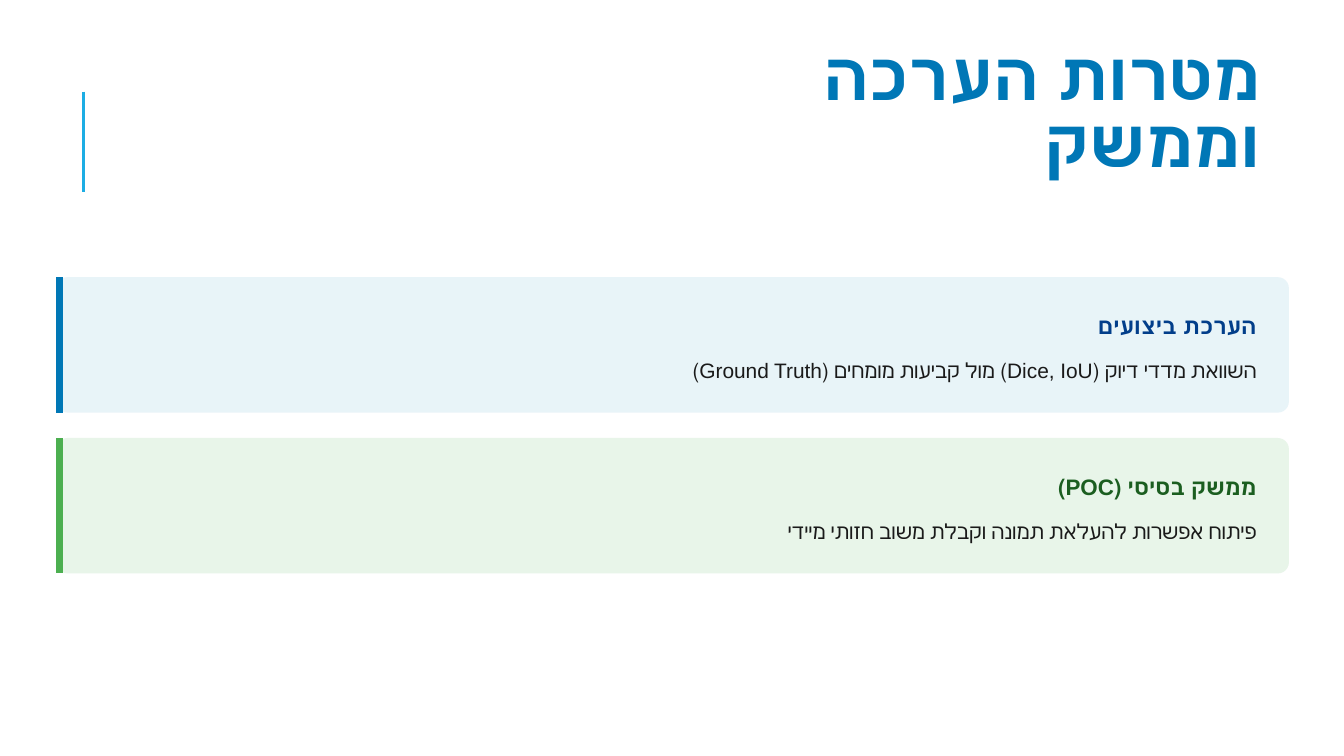
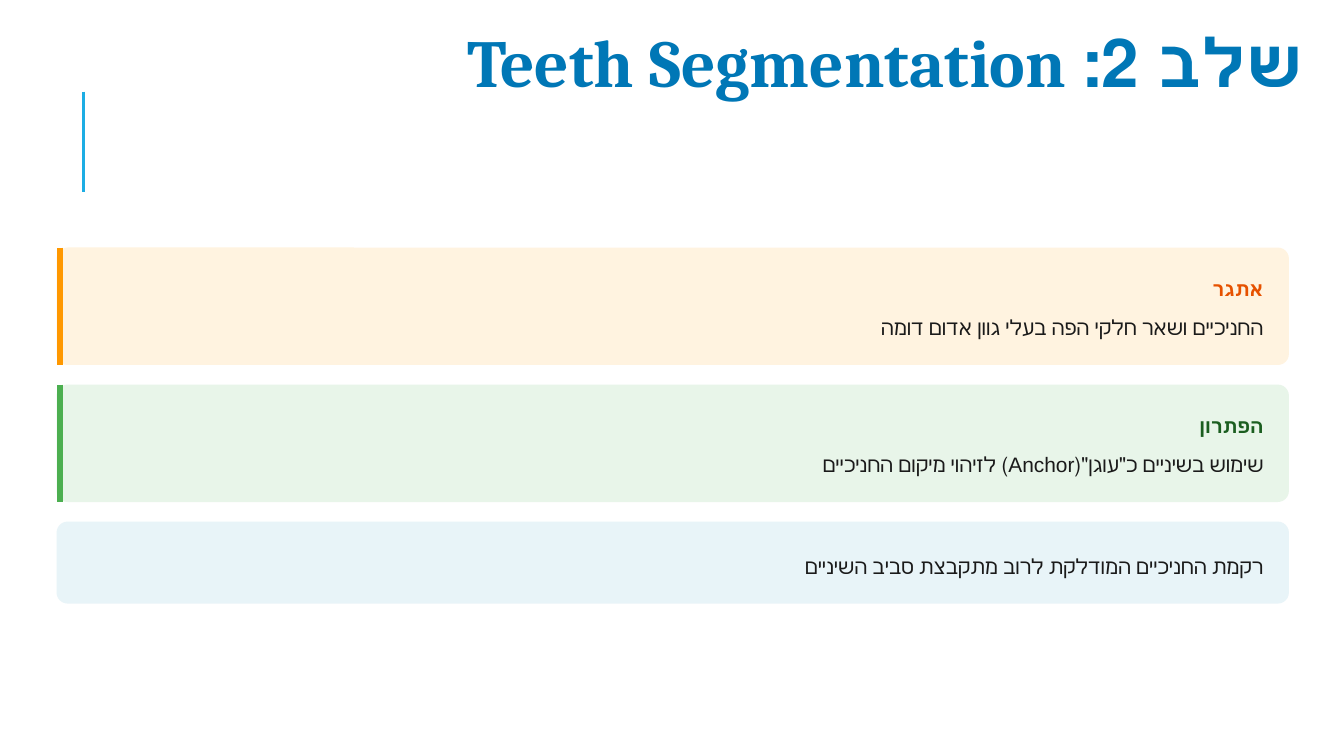
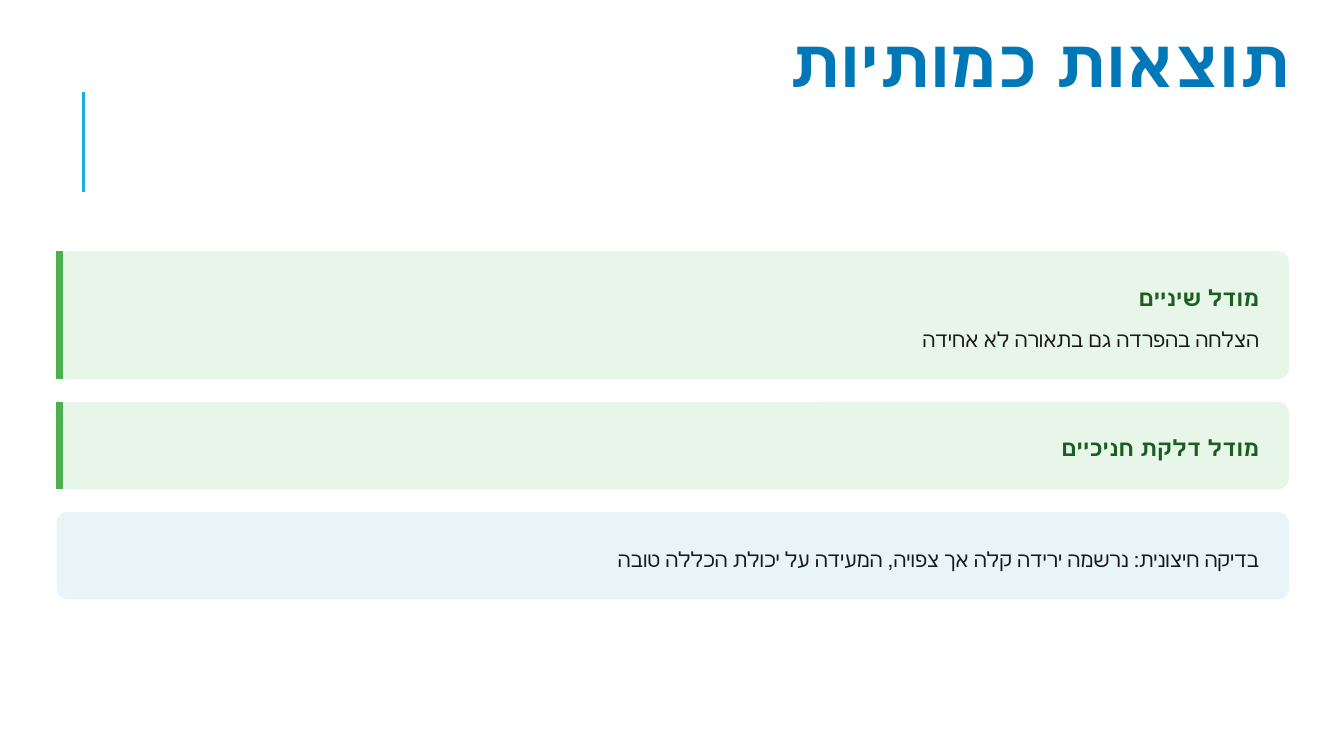
from dataclasses import dataclass

from lxml.etree import SubElement
from pptx import Presentation
from pptx.dml.color import RGBColor
from pptx.enum.shapes import MSO_CONNECTOR, MSO_SHAPE
from pptx.enum.text import PP_ALIGN
from pptx.oxml.ns import qn
from pptx.util import Cm, Pt


@dataclass(frozen=True)
class Theme:
    title_color: str = "0077B6"
    rule_color: str = "1CADE4"
    body_color: str = "1A1A1A"
    title_font: str = "Cambria"
    body_font: str = "Arial"
    title_size: float = 36
    body_size: float = 11.2
    body_spacing: float = 16.9
    card_left: float = 1.07
    card_width: float = 23.29
    corner: float = 0.21
    text_height: float = 0.58


@dataclass(frozen=True)
class Tone:
    fill: str
    bar: str
    heading: str


@dataclass(frozen=True)
class CardStyle:
    top: float
    gap: float
    tall: float
    short: float
    pad: float
    body_offset: float
    text_left: float
    text_right: float
    heading_size: float
    heading_spacing: float
    bar_width: float
    body_spacing: float = 16.9


THEME = Theme()
BLUE = Tone("E8F4F8", "0077B6", "023E8A")
GREEN = Tone("E8F5E9", "4CAF50", "1B5E20")
ORANGE = Tone("FFF3E0", "FF9800", "E65100")

METRICS = CardStyle(5.24, 0.48, 2.56, 2.56, 0.58, 1.4, 1.32, 23.75, 12, 16.8, 3.75)
STAGE = CardStyle(4.68, 0.37, 2.22, 1.55, 0.48, 1.14, 1.19, 23.88, 10.5, 14.7, 3)
RESULTS = CardStyle(4.75, 0.43, 2.42, 1.65, 0.53, 1.35, 1.27, 23.8, 12, 16.8, 3.75, 15.8)


def add_text(s, text, left, top, width, height, *, size, spacing, color,
             font=THEME.body_font, bold=False, rtl=False, insets=(0, 0, 0, 0)):
    tf = s.shapes.add_textbox(Cm(left), Cm(top), Cm(width), Cm(height)).text_frame
    tf.word_wrap = True
    tf.margin_left, tf.margin_top, tf.margin_right, tf.margin_bottom = map(Cm, insets)
    p = tf.paragraphs[0]
    p.alignment = PP_ALIGN.RIGHT
    p.line_spacing = Pt(spacing)
    if rtl:
        p._p.get_or_add_pPr().set("rtl", "1")
    r = p.add_run()
    r.text = text
    r.font.name = font
    r.font.size = Pt(size)
    r.font.bold = bold
    r.font.color.rgb = RGBColor.from_string(color)


def add_line(s, x, top, bottom, color, width):
    line = s.shapes.add_connector(MSO_CONNECTOR.STRAIGHT, Cm(x), Cm(top), Cm(x), Cm(bottom))
    line.line.color.rgb = RGBColor.from_string(color)
    line.line.width = Pt(width)
    SubElement(line._element.spPr, qn("a:effectLst"))


def add_panel(s, top, height, fill):
    sp = s.shapes.add_shape(MSO_SHAPE.ROUNDED_RECTANGLE, Cm(THEME.card_left), Cm(top),
                            Cm(THEME.card_width), Cm(height))
    sp.adjustments[0] = THEME.corner / height
    sp.shadow.inherit = False
    sp.fill.solid()
    sp.fill.fore_color.rgb = RGBColor.from_string(fill)
    sp.line.fill.background()


def add_card(s, style, top, tone, heading, body, rtl_heading=False, rtl_body=False):
    height = style.tall if heading and body else style.short
    width = style.text_right - style.text_left
    text_top = top + style.pad
    add_panel(s, top, height, tone.fill)
    if heading:
        add_line(s, THEME.card_left + 0.06, top, top + height, tone.bar, style.bar_width)
        add_text(s, heading, style.text_left, text_top, width, THEME.text_height,
                 size=style.heading_size, spacing=style.heading_spacing,
                 color=tone.heading, bold=True, rtl=rtl_heading)
    if body:
        body_top = top + style.body_offset if heading else text_top
        spacing = style.body_spacing if heading else THEME.body_spacing
        add_text(s, body, style.text_left, body_top, width, THEME.text_height,
                 size=THEME.body_size, spacing=spacing, color=THEME.body_color, rtl=rtl_body)
    return top + height + style.gap


def add_title(s, text, left, top, width, rtl=False):
    add_text(s, text, left, top, width, 2.16, size=THEME.title_size, spacing=36,
             color=THEME.title_color, font=THEME.title_font, bold=True, rtl=rtl,
             insets=(0.53, 0.64, 0.53, 0.25))


def add_card_slide(prs, title, style, cards):
    s = prs.slides.add_slide(prs.slide_layouts[6])
    add_line(s, 1.58, 1.73, 3.63, THEME.rule_color, 1.5)
    add_title(s, *title)
    top = style.top
    for card in cards:
        top = add_card(s, style, top, *card)


def main():
    prs = Presentation()
    prs.slide_width, prs.slide_height = Cm(25.4), Cm(14.29)
    add_card_slide(prs, ("מטרות הערכה וממשק", 11.91, 0.25, 12.45), METRICS, [
        (BLUE, "הערכת ביצועים",
         "השוואת מדדי דיוק (Dice, IoU) מול קביעות מומחים (Ground Truth)", False, True),
        (GREEN, "ממשק בסיסי (POC)",
         "פיתוח אפשרות להעלאת תמונה וקבלת משוב חזותי מיידי", True, True),
    ])
    add_card_slide(prs, ("שלב 2: Teeth Segmentation", 7.01, 0, 18.14, True), STAGE, [
        (ORANGE, "אתגר", "החניכיים ושאר חלקי הפה בעלי גוון אדום דומה"),
        (GREEN, "הפתרון",
         'שימוש בשיניים כ"עוגן"(Anchor) לזיהוי מיקום החניכיים', False, True),
        (BLUE, None, "רקמת החניכיים המודלקת לרוב מתקבצת סביב השיניים", False, True),
    ])
    add_card_slide(prs, ("תוצאות כמותיות", 12.47, 0, 12.45), RESULTS, [
        (GREEN, "מודל שיניים", "הצלחה בהפרדה גם בתאורה לא אחידה"),
        (GREEN, "מודל דלקת חניכיים", None),
        (BLUE, None, "בדיקה חיצונית: נרשמה ירידה קלה אך צפויה, המעידה על יכולת הכללה טובה"),
    ])
    prs.save("out.pptx")


if __name__ == "__main__":
    main()
